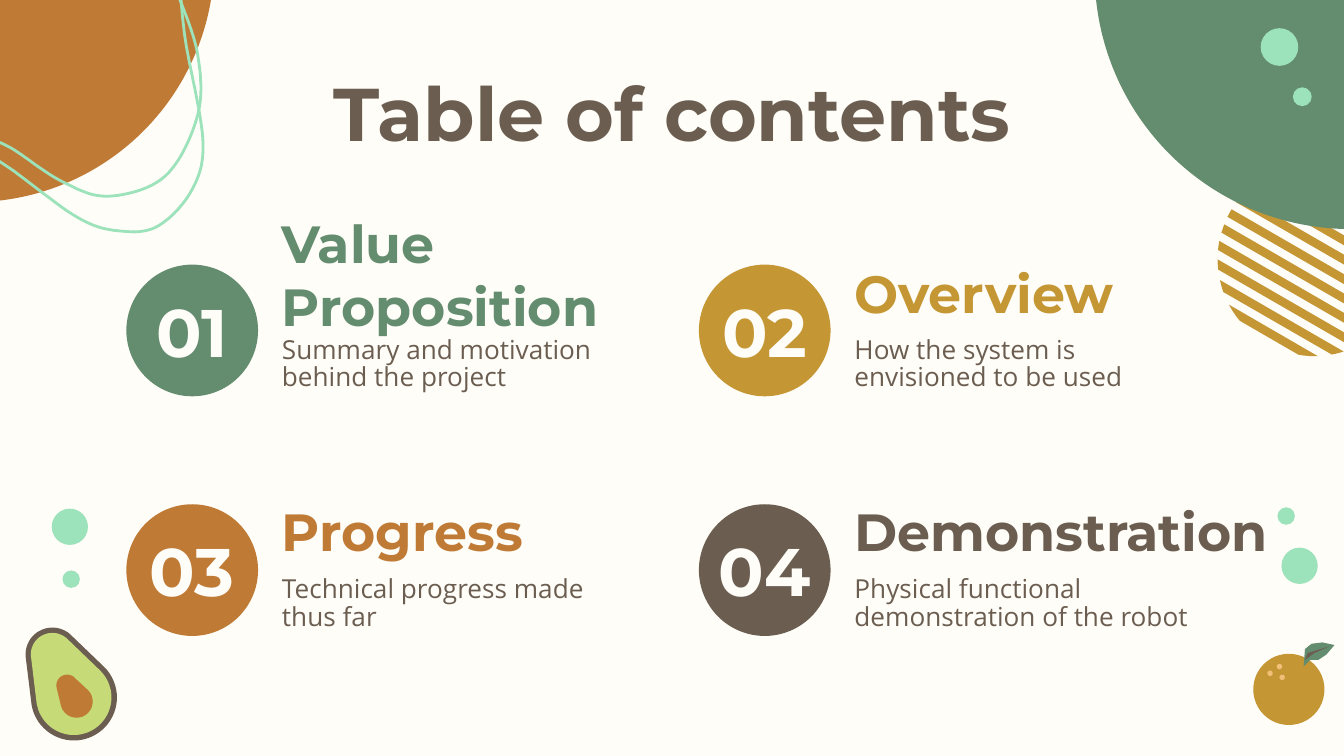
import math

from pptx import Presentation
from pptx import util as u
from pptx.dml.color import RGBColor
from pptx.enum import shapes, text

CREAM = RGBColor(0xFF, 0xFD, 0xF8)
BROWN = RGBColor(0x6B, 0x5E, 0x51)
GREEN = RGBColor(0x64, 0x8C, 0x6E)
GOLD = RGBColor(0xC4, 0x97, 0x34)
RUST = RGBColor(0xBF, 0x7B, 0x36)
MINT = RGBColor(0x9C, 0xE2, 0xBA)
LIME = RGBColor(0xC6, 0xDA, 0x78)
PEACH = RGBColor(0xF0, 0xC0, 0x79)

W, H = 10, 10 * 9 / 16
LEFT, TOP = 0.094 * W, 0.35 * H
COL_STEP, ROW_STEP = 0.426 * W, 0.317 * H
BADGE = 0.98
MILLI = 1000  # freeform units per inch

prs = Presentation()
prs.slide_width, prs.slide_height = u.Inches(W), u.Inches(H)
s = prs.slides.add_slide(prs.slide_layouts[6])
s.background.fill.solid()
s.background.fill.fore_color.rgb = CREAM


def add_outline(points, fill=None, line=None):
    """Closed filled outline, or open stroke when only a line colour is given."""
    pts = [(x * MILLI, y * MILLI) for x, y in points]
    fb = s.shapes.build_freeform(*pts[0], scale=u.Inches(1) / MILLI)
    fb.add_line_segments(pts[1:], close=fill is not None)
    sp = fb.convert_to_shape()
    sp.shadow.inherit = False
    if fill is not None:
        sp.fill.solid()
        sp.fill.fore_color.rgb = fill
        sp.line.fill.background()
    else:
        sp.fill.background()
        sp.line.color.rgb = line
        sp.line.width = u.Pt(1.5)


def add_text(box, words, font, size, color, bold=True, align=text.PP_ALIGN.LEFT,
             anchor=text.MSO_ANCHOR.MIDDLE, spacing=1.0):
    tf = s.shapes.add_textbox(*map(u.Inches, box)).text_frame
    tf.word_wrap = True
    tf.vertical_anchor = anchor
    tf.margin_left = tf.margin_right = tf.margin_top = tf.margin_bottom = u.Inches(0.1)
    p = tf.paragraphs[0]
    p.alignment, p.line_spacing = align, spacing
    r = p.add_run()
    r.text = words
    r.font.name, r.font.size, r.font.bold = font, u.Pt(size), bold
    r.font.color.rgb = color


# Striped disc: parallel bands at 30 degrees, cut off by the circle
cx, cy, radius = 9.78, 1.93, 0.72
cos, sin = math.cos(math.radians(30)), math.sin(math.radians(30))
for band in range(11):
    ends = {-1: [], 1: []}
    for step in range(5):
        d = -0.64 + 0.125 * band + 0.016 * step
        half = math.sqrt(radius ** 2 - d ** 2)
        for side in ends:
            ends[side].append((cx + side * half * cos - d * sin,
                               cy + side * half * sin + d * cos))
    add_outline(ends[-1] + ends[1][::-1], GOLD)

# Round decorations and number badges: centre x, centre y, diameter, colour
discs = [
    (-0.21, -0.3, 3.61, RUST), (10.05, -0.2, 3.81, GREEN),
    (0.52, 3.92, 0.27, MINT), (0.53, 4.31, 0.13, MINT),
    (9.52, 0.35, 0.28, MINT), (9.69, 0.72, 0.14, MINT),
    (9.67, 4.21, 0.27, MINT), (9.57, 3.84, 0.13, MINT),
    (9.59, 5.13, 0.53, GOLD),
    (9.52, 4.96, 0.04, PEACH), (9.54, 5.04, 0.04, PEACH), (9.45, 5.01, 0.04, PEACH),
]
badge_colors = [GREEN, GOLD, RUST, BROWN]
for i, color in enumerate(badge_colors):
    row, col = divmod(i, 2)
    discs.append((LEFT + col * COL_STEP + BADGE / 2,
                  TOP + row * ROW_STEP + BADGE / 2, BADGE, color))
for x, y, size, color in discs:
    sp = s.shapes.add_shape(shapes.MSO_SHAPE.OVAL, u.Inches(x - size / 2),
                            u.Inches(y - size / 2), u.Inches(size), u.Inches(size))
    sp.shadow.inherit = False
    sp.fill.solid()
    sp.fill.fore_color.rgb = color
    sp.line.fill.background()

# Mint loops: a smooth Catmull-Rom curve through a few knots
loops = [
    [(-0.1, 1.03), (0.08, 1.1), (0.46, 1.35), (0.81, 1.46), (1.23, 1.31),
     (1.47, 0.86), (1.47, 0.4), (1.31, -0.08)],
    [(-0.2, 1.09), (0.07, 1.25), (0.58, 1.62), (0.9, 1.72), (1.18, 1.68),
     (1.43, 1.41), (1.51, 1.04), (1.38, 0.3), (1.34, -0.1)],
]
for knots in loops:
    curve = []
    padded = [knots[0], *knots, knots[-1]]
    for quad in zip(padded, padded[1:], padded[2:], padded[3:]):
        for t in (k / 12 for k in range(12)):
            curve.append([
                b + t * (c - a) / 2 + t * t * (a - 2.5 * b + 2 * c - d / 2)
                + t ** 3 * (3 * b - 3 * c + d - a) / 2
                for a, b, c, d in zip(*quad)])
    add_outline(curve + [knots[-1]], line=MINT)

# Avocado: each layer is the hull of a small top circle and a big lower one
skin = [(0.39, 4.87, 0.2), (0.55, 5.19, 0.32)]
flesh = [(x, y, r - 0.04) for x, y, r in skin]
stone = [(0.5, 5.1, 0.08), (0.57, 5.22, 0.12)]
for circles, color in ((skin, BROWN), (flesh, LIME), (stone, RUST)):
    hull = []
    for k in range(72):
        nx, ny = math.cos(k * math.tau / 72), math.sin(k * math.tau / 72)
        x, y, r = max(circles, key=lambda c: c[0] * nx + c[1] * ny + c[2])
        hull.append((x + r * nx, y + r * ny))
    add_outline(hull, color)

# Leaf and its vein on the orange
add_outline([(9.93, 4.8), (9.84, 4.78), (9.76, 4.79), (9.71, 4.83), (9.7, 4.96),
             (9.75, 4.91), (9.81, 4.91), (9.87, 4.87)], GREEN)
add_outline([(9.71, 4.91), (9.73, 4.86), (9.89, 4.81), (9.78, 4.86)], BROWN)

add_text((0.078 * W, 0.4, 0.844 * W, 0.63), "Table of contents", "Montserrat", 40, BROWN,
         align=text.PP_ALIGN.CENTER, anchor=text.MSO_ANCHOR.TOP)

# Heading, heading width and height, rise above the badge top, summary
entries = [
    ("Value Proposition", 3.2, 0.7, 0.28, "Summary and motivation behind the project"),
    ("Overview", 2.8, 0.44, 0.01, "How the system is envisioned to be used"),
    ("Progress", 2.8, 0.44, 0.02, "Technical progress made thus far"),
    ("Demonstration", 3.31, 0.44, 0.02, "Physical functional demonstration of the robot"),
]
for i, (heading, width, height, rise, summary) in enumerate(entries):
    row, col = divmod(i, 2)
    x, y = LEFT + col * COL_STEP, TOP + row * ROW_STEP
    text_x = x + 1.06
    add_text((text_x, y - rise, width, height), heading, "Montserrat", 28, badge_colors[i])
    add_text((text_x, y + 0.43, 2.8, 0.63), summary, "Open Sans", 14, BROWN,
             bold=False, spacing=0.87)
    add_text((x + 0.04, y + 0.14, 0.9, 0.7), f"{i + 1:02d}", "Montserrat", 36, CREAM,
             align=text.PP_ALIGN.CENTER)

prs.save("out.pptx")
